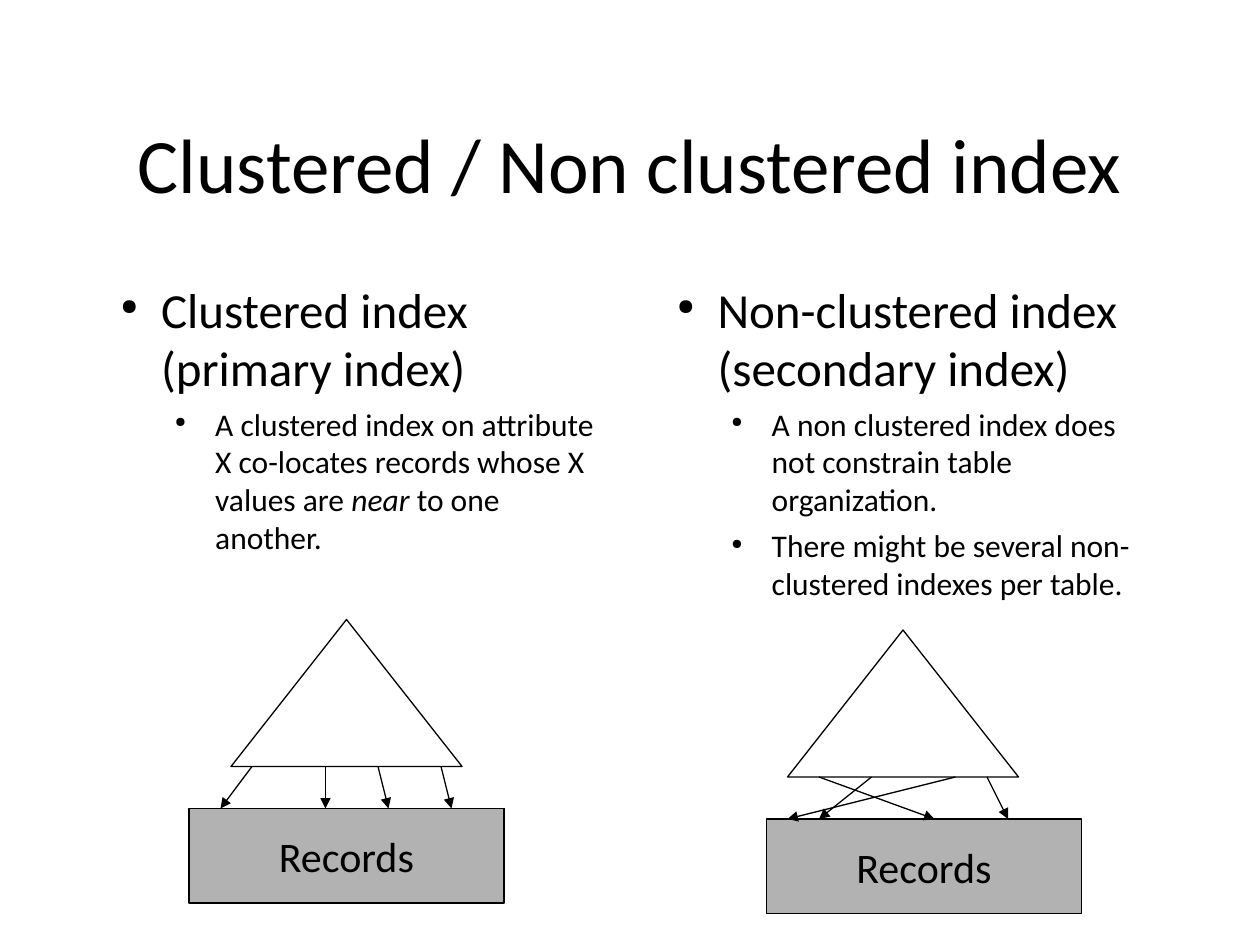
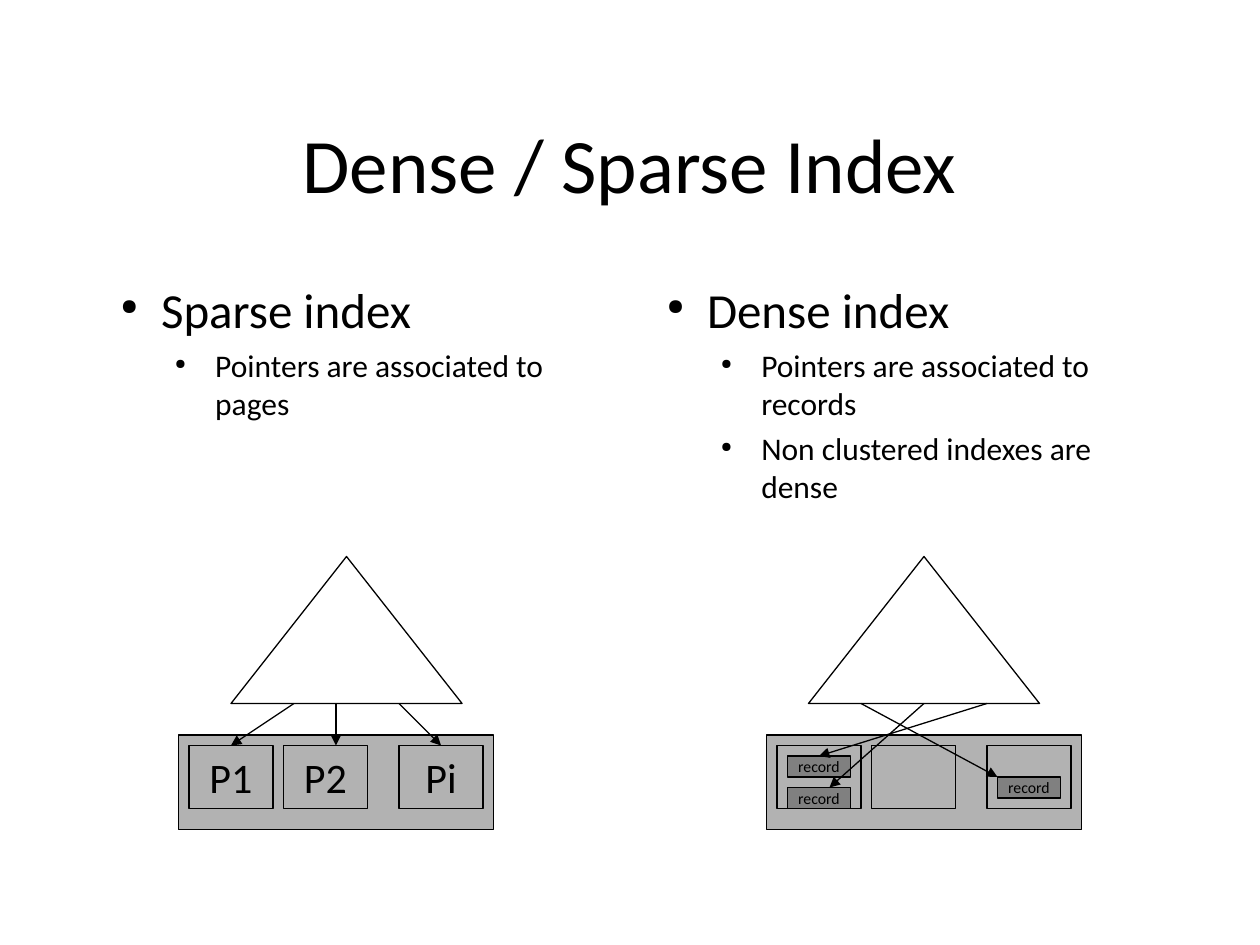
from lxml.etree import SubElement
from pptx import Presentation
from pptx.dml.color import RGBColor
from pptx.enum.shapes import MSO_CONNECTOR, MSO_SHAPE
from pptx.enum.text import MSO_ANCHOR, PP_ALIGN
from pptx.oxml.ns import qn
from pptx.util import Inches, Pt

WIDTH, HEIGHT = Inches(10), Inches(7.5)
COLUMNS, ROWS = 120, 90
FONT = "Calibri"
BLACK, WHITE, LIGHT_GREY, DARK_GREY = "000000", "FFFFFF", "B2B2B2", "808080"
LINE_WIDTH = Pt(0.75)
TREE_WIDTH, TREE_HEIGHT = 22, 14
STRIP_WIDTH, STRIP_HEIGHT = 30, 9
PAGE_OFFSETS = (1, 10, 21)
TOP_SIDE = 0
# One (size, left indent in inches, space before) per outline level
LEVELS = ((28, 0.43, 6.3), (18, 0.86, 4.5))
HANGING = Inches(0.32)


def color(hex_string):
    return RGBColor.from_string(hex_string)


def x(column):
    return round(WIDTH * column / COLUMNS)


def y(row):
    return round(HEIGHT * row / ROWS)


def grid_box(column, row, columns, rows):
    return x(column), y(row), x(columns), y(rows)


def add_run(paragraph, text, size, italic=False):
    run = paragraph.add_run()
    run.text = text
    run.font.name = FONT
    run.font.size = Pt(size)
    run.font.color.rgb = color(BLACK)
    if italic:
        run.font.italic = True


def add_centered_text(text_frame, text, size):
    text_frame.vertical_anchor = MSO_ANCHOR.MIDDLE
    paragraph = text_frame.paragraphs[0]
    paragraph.alignment = PP_ALIGN.CENTER
    add_run(paragraph, text, size)


def add_title(slide, text):
    text_frame = slide.shapes.add_textbox(*grid_box(9, 8, 102, 15)).text_frame
    text_frame.word_wrap = True
    add_centered_text(text_frame, text, 44)


def format_bullet(paragraph, level):
    size, indent, space_before = LEVELS[level]
    paragraph.level = level
    paragraph.space_before = Pt(space_before)
    properties = paragraph._p.get_or_add_pPr()
    properties.set("marL", str(Inches(indent)))
    properties.set("indent", str(-HANGING))
    SubElement(properties, qn("a:buSzPct")).set("val", "45000")
    SubElement(properties, qn("a:buChar")).set("char", "●")
    return size


def add_outline(slide, column, heading, *points):
    """Add a heading and its points; every second run of a point is italic."""
    text_frame = slide.shapes.add_textbox(*grid_box(column, 26, 50, 54)).text_frame
    text_frame.word_wrap = True
    paragraph = text_frame.paragraphs[0]
    add_run(paragraph, heading, format_bullet(paragraph, 0))
    for point in points:
        paragraph = text_frame.add_paragraph()
        size = format_bullet(paragraph, 1)
        for position, text in enumerate(point):
            add_run(paragraph, text, size, italic=position % 2 == 1)


def add_block(slide, box, fill, label="", size=24, kind=MSO_SHAPE.RECTANGLE):
    shape = slide.shapes.add_shape(kind, *grid_box(*box))
    shape.shadow.inherit = False
    shape.fill.solid()
    shape.fill.fore_color.rgb = color(fill)
    shape.line.color.rgb = color(BLACK)
    shape.line.width = LINE_WIDTH
    if label:
        shape.text_frame.word_wrap = False
        add_centered_text(shape.text_frame, label, size)
    return shape


def add_tree(slide, column, row):
    add_block(slide, (column, row, TREE_WIDTH, TREE_HEIGHT), WHITE,
              kind=MSO_SHAPE.ISOSCELES_TRIANGLE)


def add_strip(slide, column, row, label=""):
    add_block(slide, (column, row, STRIP_WIDTH, STRIP_HEIGHT), LIGHT_GREY, label)


def add_pages(slide, column, row, labels=("", "", "")):
    """Add a strip holding three pages and return the pages."""
    add_strip(slide, column, row)
    return [add_block(slide, (column + offset, row + 1, 8, 6), LIGHT_GREY, label)
            for offset, label in zip(PAGE_OFFSETS, labels)]


def add_record(slide, column, row):
    return add_block(slide, (column, row, 6, 2), DARK_GREY, "record", 9)


def add_line(slide, start, end):
    line = slide.shapes.add_connector(
        MSO_CONNECTOR.STRAIGHT, x(start[0]), y(start[1]), x(end[0]), y(end[1]))
    line.line.color.rgb = color(BLACK)
    line.line.width = LINE_WIDTH
    SubElement(line._element.spPr, qn("a:effectLst"))
    return line


def add_arrow(slide, start, end, target=None):
    """Add an arrow, joined to the top of the target if there is one."""
    arrow = add_line(slide, start, end)
    SubElement(arrow.line._get_or_add_ln(), qn("a:tailEnd")).set("type", "triangle")
    if target is not None:
        arrow.end_connect(target, TOP_SIDE)


def add_record_index(slide, tree, strip_column, pointers):
    """Add a tree whose pointers lead down to a strip of records."""
    column, row = tree
    base = row + TREE_HEIGHT
    strip_row = base + 4
    add_tree(slide, column, row)
    add_strip(slide, strip_column, strip_row, "Records")
    for start, end in pointers:
        add_arrow(slide, (start, base), (end, strip_row))


def new_slide(presentation, title):
    slide = presentation.slides.add_slide(presentation.slide_layouts[6])
    add_title(slide, title)
    return slide


def build_clustering_slide(presentation):
    slide = new_slide(presentation, "Clustered / Non clustered index")
    add_outline(slide, 9, "Clustered index (primary index)",
                ("A clustered index on attribute X co-locates records whose X values are ",
                 "near", " to one another."))
    add_outline(slide, 62, "Non-clustered index (secondary index)",
                ("A non clustered index does not constrain table organization.",),
                ("There might be several non-clustered indexes per table.",))
    add_line(slide, (48, 77), (48, 86))
    add_record_index(slide, (22, 59), 18, ((24, 21), (31, 31), (36, 37), (42, 43)))
    add_record_index(slide, (75, 60), 73, ((78, 89), (83, 78), (91, 75), (94, 96)))


def build_density_slide(presentation):
    slide = new_slide(presentation, "Dense / Sparse Index")
    add_outline(slide, 9, "Sparse index", ("Pointers are associated to pages",))
    add_outline(slide, 61, "Dense index",
                ("Pointers are associated to records",),
                ("Non clustered indexes are dense",))
    tree_row, strip_row = 53, 70
    base = tree_row + TREE_HEIGHT

    add_tree(slide, 22, tree_row)
    first_page, _, last_page = add_pages(slide, 17, strip_row, ("P1", "P2", "Pi"))
    add_arrow(slide, (28, base), (22, 71), first_page)
    add_arrow(slide, (32, base), (32, 71))
    add_arrow(slide, (38, base), (42, 71), last_page)

    add_tree(slide, 77, tree_row)
    add_pages(slide, 73, strip_row)
    top_record, _, _ = [add_record(slide, *place)
                        for place in ((75, 72), (75, 75), (95, 74))]
    add_arrow(slide, (82, base), (95, 74))
    add_arrow(slide, (88, base), (79, 75))
    add_arrow(slide, (94, base), (78, 72), top_record)


def main():
    presentation = Presentation()
    presentation.slide_width, presentation.slide_height = WIDTH, HEIGHT
    build_clustering_slide(presentation)
    build_density_slide(presentation)
    presentation.save("out.pptx")


if __name__ == "__main__":
    main()
